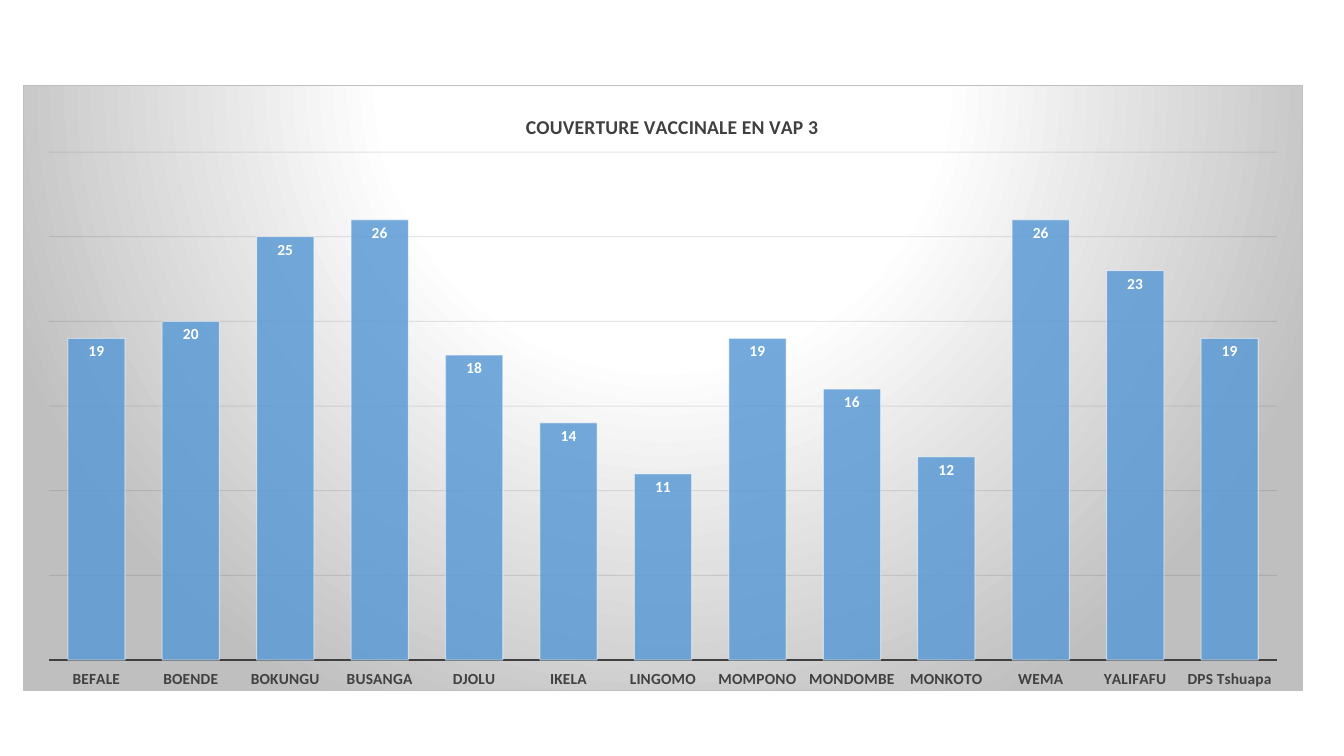
from dataclasses import dataclass

from lxml import etree
from pptx import Presentation
from pptx.chart.data import CategoryChartData
from pptx.dml.color import RGBColor
from pptx.enum.chart import XL_CHART_TYPE, XL_LABEL_POSITION, XL_TICK_LABEL_POSITION, XL_TICK_MARK
from pptx.oxml import parse_xml
from pptx.oxml.ns import nsdecls, qn
from pptx.util import Pt

COLUMN = XL_CHART_TYPE.COLUMN_CLUSTERED
INSIDE_END = XL_LABEL_POSITION.INSIDE_END
LABELS_LOW = XL_TICK_LABEL_POSITION.LOW
NO_TICK = XL_TICK_MARK.NONE
PX = 9525
BLANK_LAYOUT = 6

TITLE = "COUVERTURE VACCINALE EN VAP 3"
COVERAGE = {
    "BEFALE": 19,
    "BOENDE": 20,
    "BOKUNGU": 25,
    "BUSANGA": 26,
    "DJOLU": 18,
    "IKELA": 14,
    "LINGOMO": 11,
    "MOMPONO": 19,
    "MONDOMBE": 16,
    "MONKOTO": 12,
    "WEMA": 26,
    "YALIFAFU": 23,
    "DPS Tshuapa": 19,
}


@dataclass(frozen=True)
class Theme:
    font: str = "Calibri"
    title_size: int = 14
    label_size: int = 11
    text: str = "404040"
    bar: str = "5B9BD5"
    white: str = "FFFFFF"
    grid: str = "0D0D0D"
    edge: str = "BFBFBF"


class SlideBuilder:
    def __init__(self, prs, theme):
        self.theme = theme
        self.slide = prs.slides.add_slide(prs.slide_layouts[BLANK_LAYOUT])

    def style_font(self, font, size, color, bold=True):
        font.name = self.theme.font
        font.size = Pt(size)
        font.bold = bold
        font.color.rgb = RGBColor.from_string(color)

    def paint(self, fill, color, alpha=100):
        fill.solid()
        fill.fore_color.rgb = RGBColor.from_string(color)
        if alpha < 100:
            clr = fill._xPr.find(qn("a:solidFill"))[0]
            etree.SubElement(clr, qn("a:alpha")).set("val", str(alpha * 1000))

    def style_line(self, line, color, width, alpha=100):
        line.width = Pt(width)
        self.paint(line.fill, color, alpha)

    def place(self, parent, index, inner=False, **fractions):
        for old in parent.findall(qn("c:layout")):
            parent.remove(old)
        target = '<c:layoutTarget val="inner"/>' if inner else ""
        modes = "".join(f'<c:{k}Mode val="edge"/>' for k in "xy")
        values = "".join(f'<c:{k} val="{v}"/>' for k, v in fractions.items())
        parent.insert(index, parse_xml(
            f'<c:layout {nsdecls("c")}><c:manualLayout>{target}{modes}{values}'
            '</c:manualLayout></c:layout>'))

    def chart_background(self, chart):
        t = self.theme
        stops = "".join(
            f'<a:gs pos="{pos * 1000}"><a:srgbClr val="{color}"/></a:gs>'
            for pos, color in ((0, t.white), (39, t.white), (100, t.edge)))
        sp_pr = parse_xml(
            f'<c:spPr {nsdecls("c", "a")}><a:gradFill><a:gsLst>{stops}</a:gsLst>'
            '<a:path path="circle">'
            '<a:fillToRect l="50000" t="-80000" r="50000" b="180000"/></a:path></a:gradFill>'
            f'<a:ln w="{Pt(0.75)}"><a:solidFill><a:srgbClr val="{t.edge}"/></a:solidFill></a:ln>'
            '</c:spPr>')
        chart._chartSpace.find(qn("c:chart")).addnext(sp_pr)

    def column_chart(self, title, data, x, y, w, h):
        t = self.theme
        chart_data = CategoryChartData(number_format="0")
        chart_data.categories = list(data)
        chart_data.add_series("Series 1", list(data.values()))
        frame = self.slide.shapes.add_chart(COLUMN, x * PX, y * PX, w * PX, h * PX, chart_data)
        chart = frame.chart
        self.style_font(chart.font, t.label_size, "000000", bold=False)
        self.chart_background(chart)
        chart.has_legend = False

        chart.has_title = True
        tf = chart.chart_title.text_frame
        tf.text = title
        self.style_font(tf.paragraphs[0].runs[0].font, t.title_size, t.text)
        chart.chart_title.include_in_layout = False
        self.place(chart.chart_title._element, 1, x=0.39, y=0.04)
        plot_area = chart._chartSpace.find(".//" + qn("c:plotArea"))
        self.place(plot_area, 0, inner=True, x=0.02, y=0.11, w=0.96, h=0.84)

        axis = chart.category_axis
        axis.major_tick_mark = axis.minor_tick_mark = NO_TICK
        axis.tick_label_position = LABELS_LOW
        self.style_font(axis.tick_labels.font, t.label_size, t.text)
        self.style_line(axis.format.line, t.text, 1.5)

        scale = chart.value_axis
        scale.minimum_scale, scale.maximum_scale, scale.major_unit = 0, 30, 5
        scale.visible = False
        scale.has_major_gridlines = True
        self.style_line(scale.major_gridlines.format.line, t.grid, 0.75, 10)

        plot = chart.plots[0]
        plot.gap_width = 65
        plot.vary_by_categories = False
        series = plot.series[0]
        self.paint(series.format.fill, t.bar, 85)
        self.style_line(series.format.line, t.white, 0.75, 50)
        labels = series.data_labels
        labels.show_value = True
        labels.position = INSIDE_END
        labels.number_format = "0"
        labels.number_format_is_linked = False
        self.style_font(labels.font, t.label_size, t.white)


def main():
    prs = Presentation()
    prs.slide_width = 1280 * PX
    prs.slide_height = 720 * PX
    s = SlideBuilder(prs, Theme())
    s.column_chart(TITLE, COVERAGE, 22, 81, 1219, 577)
    prs.save("out.pptx")


if __name__ == "__main__":
    main()
